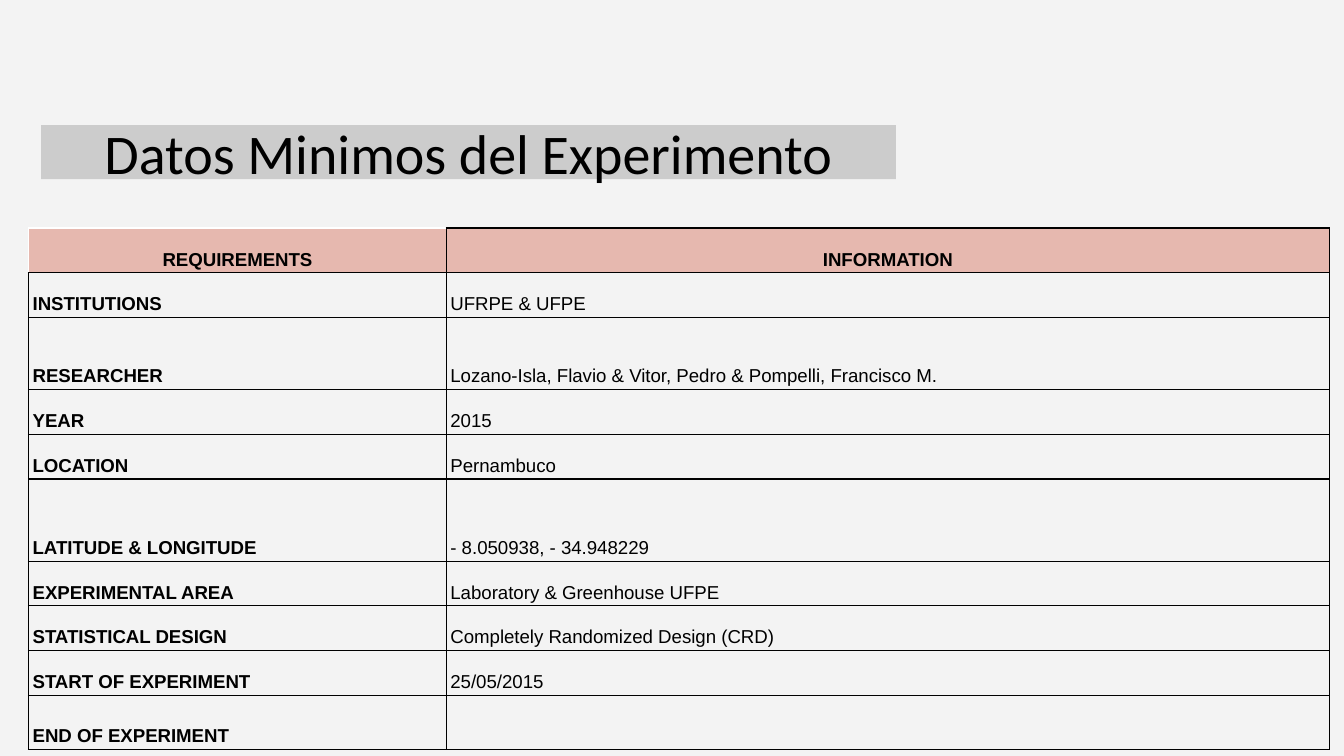
from pptx import Presentation
from pptx.dml.color import RGBColor
from pptx.enum.shapes import MSO_SHAPE as Shape
from pptx.enum.text import MSO_ANCHOR as Anchor, PP_ALIGN as Align
from pptx.oxml import parse_xml
from pptx.oxml.ns import nsdecls
from pptx.util import Pt

BLACK = RGBColor(0x00, 0x00, 0x00)
PAPER = RGBColor(0xF3, 0xF3, 0xF3)
GRAY = RGBColor(0xCC, 0xCC, 0xCC)
PINK = RGBColor(0xE6, 0xB8, 0xAF)

ROWS = [
    (24, "REQUIREMENTS", "INFORMATION"),
    (24, "INSTITUTIONS", "UFRPE & UFPE"),
    (38.5, "RESEARCHER",
     "Lozano-Isla, Flavio & Vitor, Pedro & Pompelli, Francisco M."),
    (24, "YEAR", "2015"),
    (24, "LOCATION", "Pernambuco"),
    (44, "LATITUDE & LONGITUDE", "- 8.050938, - 34.948229"),
    (24, "EXPERIMENTAL AREA", "Laboratory & Greenhouse UFPE"),
    (24, "STATISTICAL DESIGN", "Completely Randomized Design (CRD)"),
    (24, "START OF EXPERIMENT", "25/05/2015"),
    (28.8, "END OF EXPERIMENT", ""),
]
WIDTHS = [223.8, 473]


def add_run(para, text, font, size, bold=False):
    run = para.add_run()
    run.text = text
    run.font.name = font
    run.font.size = Pt(size)
    run.font.bold = bold
    run.font.color.rgb = BLACK


def set_edges(cell, sides):
    """Draw thin black borders on the given sides (L, R, T, B) of a cell."""
    props = cell._tc.get_or_add_tcPr()
    for i, side in enumerate(sides):
        props.insert(i, parse_xml(
            f'<a:ln{side} {nsdecls("a")} w="{Pt(0.75)}"><a:solidFill>'
            f'<a:srgbClr val="{BLACK}"/></a:solidFill></a:ln{side}>'))


deck = Presentation()
deck.slide_width, deck.slide_height = Pt(720), Pt(405)
slide = deck.slides.add_slide(deck.slide_layouts[6])
slide.background.fill.solid()
slide.background.fill.fore_color.rgb = PAPER

# Table of requirements
total = sum(row[0] for row in ROWS)
table = slide.shapes.add_table(len(ROWS), 2, Pt(15.3), Pt(122.2),
                               Pt(sum(WIDTHS)), Pt(total)).table
table.horz_banding = False
for col, width in zip(table.columns, WIDTHS):
    col.width = Pt(width)

for r, (height, *texts) in enumerate(ROWS):
    table.rows[r].height = Pt(height)
    for c, text in enumerate(texts):
        cell = table.cell(r, c)
        head = r == 0
        cell.vertical_anchor = Anchor.BOTTOM
        cell.margin_left = cell.margin_right = Pt(2.2)
        cell.margin_top = cell.margin_bottom = Pt(1.5)
        if head:
            cell.fill.solid()
            cell.fill.fore_color.rgb = PINK
        else:
            cell.fill.background()
        set_edges(cell, "RB" if head and c == 0 else "LRTB")
        para = cell.text_frame.paragraphs[0]
        para.alignment = Align.CENTER if head else Align.LEFT
        para.line_spacing = 1.15
        if text:
            add_run(para, text, "Arial", 10, head or c == 0)

# Title bar
bar = slide.shapes.add_shape(Shape.RECTANGLE, Pt(22), Pt(67), Pt(458), Pt(29))
bar.shadow.inherit = False
bar.fill.solid()
bar.fill.fore_color.rgb = GRAY
bar.line.fill.background()
frame = bar.text_frame
frame.word_wrap = True
frame.vertical_anchor = Anchor.MIDDLE
frame.margin_left = frame.margin_right = Pt(7.2)
frame.margin_top = frame.margin_bottom = Pt(7.2)
para = frame.paragraphs[0]
para.alignment = Align.CENTER
add_run(para, "Datos Minimos del Experimento", "Calibri", 30)

deck.save("out.pptx")
